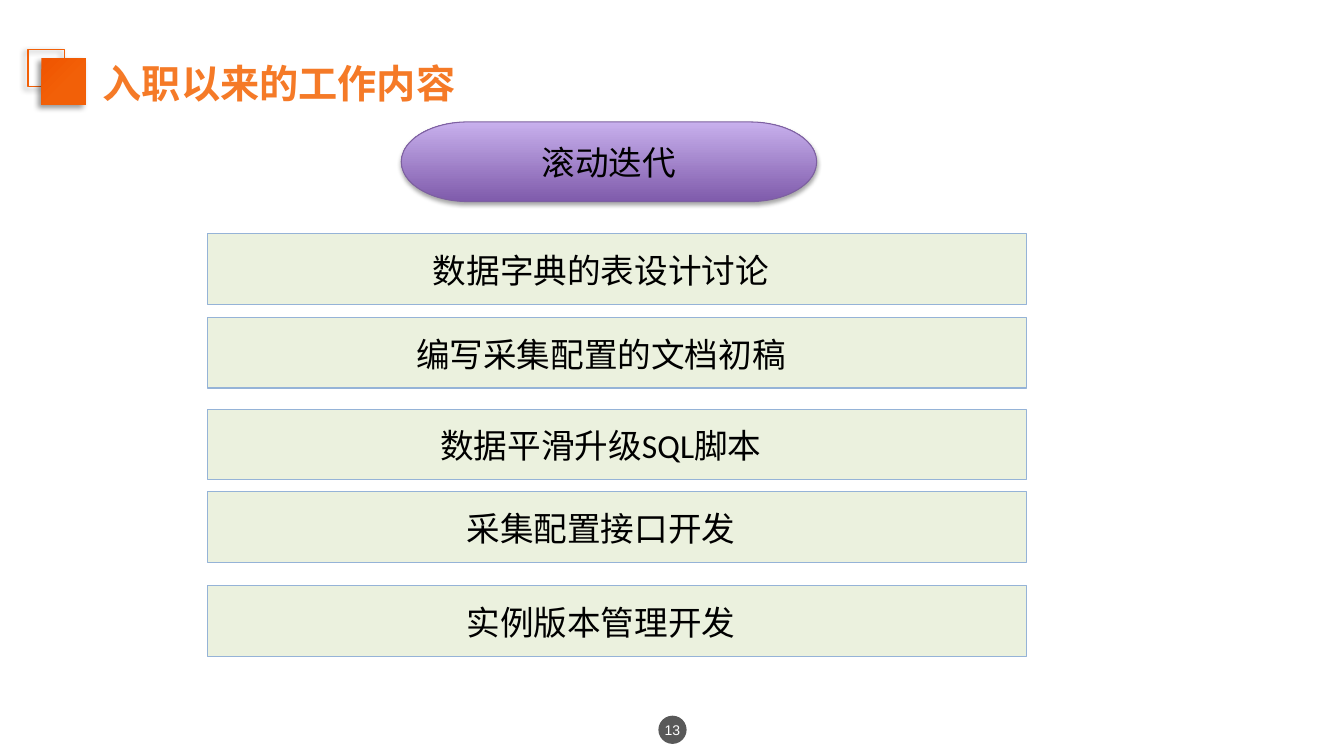
from lxml import etree
from pptx import Presentation
from pptx import util as u
from pptx.dml.color import RGBColor
from pptx.enum import shapes, text
from pptx.oxml.ns import qn

COLORS = {
    "black": "000000", "white": "FFFFFF", "page": "595959",
    "title": "F57A27", "orange": "F26008", "deep_orange": "F05500",
    "purple": "7F5BAB", "lilac": "C8B0ED", "purple_line": "7D60A0",
    "green": "EBF1DE", "blue_line": "95B3D7",
}
CJK_FONT = "Noto Sans CJK SC"
# Top edge of each bar with its wording
TASKS = [
    (2.32, "数据字典的表设计讨论"),
    (3.15, "编写采集配置的文档初稿"),
    (4.06, "数据平滑升级SQL脚本"),
    (4.88, "采集配置接口开发"),
    (5.81, "实例版本管理开发"),
]


def rgb(name):
    return RGBColor.from_string(COLORS[name])


def inches(*lengths):
    return [u.Inches(length) for length in lengths]


def add_box(slide, kind, box, fill=None, line=None, width=0.75):
    shape = slide.shapes.add_shape(kind, *inches(*box))
    shape.shadow.inherit = False
    if fill:
        shape.fill.solid()
        shape.fill.fore_color.rgb = rgb(fill)
    else:
        shape.fill.background()
    if line:
        shape.line.color.rgb = rgb(line)
        shape.line.width = u.Pt(width)
    else:
        shape.line.fill.background()
    return shape


def set_gradient(shape, angle, *stops):
    shape.fill.gradient()
    shape.fill.gradient_angle = angle
    for stop, (position, color) in zip(shape.fill.gradient_stops, stops):
        stop.position = position
        stop.color.rgb = rgb(color)


def add_shadow(shape, opacity, blur, distance, angle):
    effects = shape._element.spPr.find(qn("a:effectLst"))
    shadow = etree.SubElement(
        effects, qn("a:outerShdw"), blurRad=str(u.Pt(blur)),
        dist=str(u.Pt(distance)), dir=str(angle * 60000),
        algn="ctr", rotWithShape="0")
    color = etree.SubElement(shadow, qn("a:srgbClr"), val=COLORS["black"])
    etree.SubElement(color, qn("a:alpha"), val=str(opacity * 1000))


def write(shape, words, size, font, color="black", bold=False,
          align=text.PP_ALIGN.CENTER):
    frame = shape.text_frame
    frame.text = words
    frame.word_wrap = True
    para = frame.paragraphs[0]
    para.alignment = align
    span = para.runs[0]
    span.font.size = u.Pt(size)
    span.font.name = font
    span.font.bold = bold
    span.font.color.rgb = rgb(color)
    if font == CJK_FONT:
        latin = span._r.rPr.find(qn("a:latin"))
        latin.addnext(etree.Element(qn("a:ea"), typeface=font))


def add_heading(slide, box, words):
    left, top, width, height = box
    # Two overlapping squares
    frame = add_box(slide, shapes.MSO_SHAPE.RECTANGLE,
                    (left, top, 0.36, 0.37), line="orange", width=1)
    block = add_box(slide, shapes.MSO_SHAPE.RECTANGLE,
                    (left + 0.13, top + 0.09, 0.44, 0.46))
    set_gradient(block, 315, (0.03, "deep_orange"), (0.59, "orange"))
    for square in (frame, block):
        add_shadow(square, 40, 4, 3, 135)
    # Title
    title = slide.shapes.title
    title.left, title.top, title.width, title.height = inches(
        left + 0.64, top + 0.05, width - 0.64, height)
    write(title, words, 28, CJK_FONT, "title", True, text.PP_ALIGN.LEFT)
    title.text_frame.vertical_anchor = text.MSO_ANCHOR.TOP
    title.text_frame.auto_size = text.MSO_AUTO_SIZE.NONE


def add_stage(slide, box, words):
    stage = add_box(slide, shapes.MSO_SHAPE.FLOWCHART_TERMINATOR, box,
                    line="purple_line")
    set_gradient(stage, 90, (0, "purple"), (1, "lilac"))
    add_shadow(stage, 35, 3.1, 1.8, 90)
    write(stage, words, 24, CJK_FONT)


def add_task(slide, box, words):
    left, top, _, _ = box
    add_box(slide, shapes.MSO_SHAPE.RECTANGLE, box, "green", "blue_line")
    label = slide.shapes.add_textbox(
        *inches(left + 0.1, top + 0.11, 7.6, 0.5))
    write(label, words, 24, "Calibri")


def add_page_number(slide, box, number):
    badge = add_box(slide, shapes.MSO_SHAPE.OVAL, box, "page")
    write(badge, number, 10, "Arial", "white")
    frame = badge.text_frame
    frame.margin_left = frame.margin_right = 0
    frame.margin_top = frame.margin_bottom = 0


def main():
    deck = Presentation()
    deck.slide_width, deck.slide_height = inches(13.33, 7.5)
    page = deck.slides.add_slide(deck.slide_layouts[5])
    add_page_number(page, (6.53, 7.1, 0.28, 0.28), "13")
    add_heading(page, (0.28, 0.49, 7.83, 0.57), "入职以来的工作内容")
    add_stage(page, (3.98, 1.21, 4.12, 0.79), "滚动迭代")
    for top, words in TASKS:
        add_task(page, (2.06, top, 8.12, 0.7), words)
    deck.save("out.pptx")


if __name__ == "__main__":
    main()
